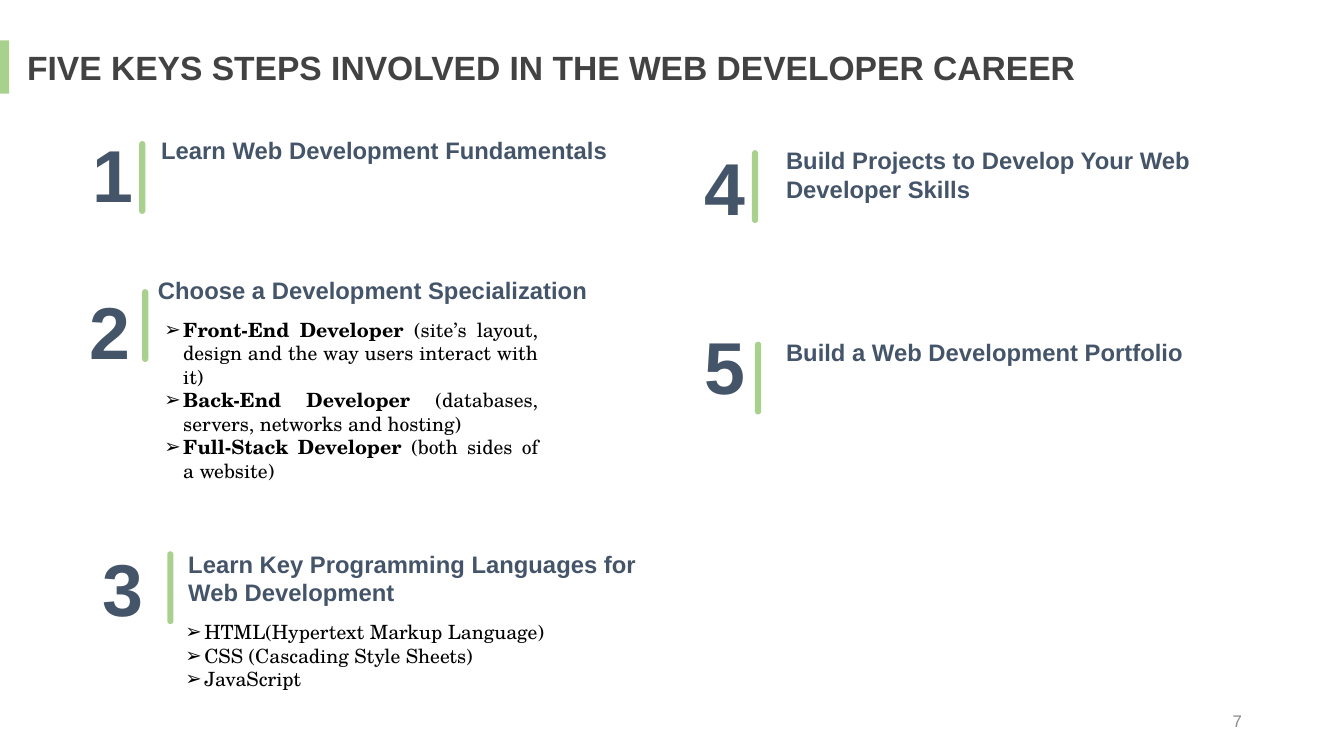
from pptx import Presentation
from pptx.dml.color import RGBColor
from pptx.enum.shapes import MSO_SHAPE as Shape
from pptx.enum.text import MSO_ANCHOR as Anchor, MSO_AUTO_SIZE as Fit, PP_ALIGN as Align
from pptx.oxml.ns import qn
from pptx.util import Pt
from lxml.etree import SubElement as Sub

GREEN, NAVY, GREY, PALE, BLACK = "A9D18E", "445469", "424242", "898989", "000000"
SANS, SERIF = "Arial", "TeX Gyre Schola"


def tint(code):
    return RGBColor.from_string(code)


def apply(item, values):
    for name, value in values.items():
        setattr(item, name, value)


class Deck:
    title = dict(name=SANS, size=Pt(24), bold=True), GREY
    head = dict(name=SANS, size=Pt(17), bold=True), NAVY
    digit = dict(name=SANS, size=Pt(52.5), bold=True), NAVY
    body = dict(name=SERIF, size=Pt(14)), BLACK
    page = dict(name=SANS, size=Pt(12)), PALE

    def __init__(self, slide):
        self.slide = slide

    def place(self, item, box):
        apply(item, dict(zip(("left", "top", "width", "height"), map(Pt, box))))

    def frame(self, item, pad=(7.2, 3.6), anchor=Anchor.TOP):
        side, edge = map(Pt, pad)
        apply(item.text_frame, dict(
            word_wrap=True, auto_size=Fit.NONE, vertical_anchor=anchor,
            margin_left=side, margin_right=side, margin_top=edge, margin_bottom=edge))
        return item.text_frame

    def run(self, para, text, style, **extra):
        font = para.add_run()
        font.text = text
        values, code = style
        apply(font.font, {**values, **extra})
        font.font.color.rgb = tint(code)

    def fill(self, item, text, style, align=Align.LEFT, anchor=Anchor.TOP):
        para = self.frame(item, anchor=anchor).paragraphs[0]
        para.alignment = align
        self.run(para, text, style)

    def name(self, text, box):
        item = self.slide.shapes.title
        self.place(item, box)
        self.fill(item, text, self.title)

    def text(self, text, box, style, **extra):
        item = self.slide.shapes.add_textbox(*map(Pt, box))
        self.fill(item, text, style, **extra)

    def bar(self, kind, box):
        item = self.slide.shapes.add_shape(kind, *map(Pt, box))
        item.shadow.inherit = False
        item.fill.solid()
        item.fill.fore_color.rgb = tint(GREEN)
        item.line.fill.background()
        return item

    def pill(self, x, y):
        item = self.bar(Shape.ROUND_2_SAME_RECTANGLE, (x, y, 4.4, 52))
        for k in range(2):
            item.adjustments[k] = 0.5

    def list(self, item, rows, box):
        self.place(item, box)
        frame = self.frame(item, (8.64, 4.32))
        for k, (term, note) in enumerate(rows):
            para = frame.add_paragraph() if k else frame.paragraphs[0]
            apply(para, dict(alignment=Align.JUSTIFY, line_spacing=1.0,
                             space_before=Pt(0), space_after=Pt(0)))
            props = para._p.get_or_add_pPr()
            props.set("marL", str(Pt(13.5)))
            props.set("indent", str(-Pt(13.5)))
            Sub(props, qn("a:buFont")).set("typeface", SANS)
            Sub(props, qn("a:buChar")).set("char", "➢")
            if term:
                self.run(para, term, self.body, bold=True)
            self.run(para, note, self.body, bold=False)

    def step(self, num, text, digit, pill, head):
        self.text(num, (*digit, 45, 70.6), self.digit)
        self.pill(*pill)
        self.text(text, (*head, 355, 48), self.head)


# Number, heading, then the corners of digit, bar and heading
STEPS = [
    ("1", "Learn Web Development Fundamentals",
     (59.2, 88.6), (99.4, 100.8), (108, 93.6)),
    ("2", "Choose a Development Specialization",
     (57, 200.9), (101.5, 206.6), (105.8, 193.7)),
    ("3", "Learn Key Programming Languages for Web Development",
     (66.4, 384.5), (119.5, 393.8), (127.4, 388.8)),
    ("4", "Build Projects to Develop Your Web Developer Skills",
     (496.1, 97.9), (537.1, 107.3), (554.4, 100.8)),
    ("5", "Build a Web Development Portfolio",
     (496.1, 225.4), (539.3, 244.1), (554.4, 237.6)),
]
ROLES = [
    ("Front-End Developer ", "(site’s layout, design and the way users interact with it)"),
    ("Back-End Developer ", "(databases, servers, networks and hosting)"),
    ("Full-Stack Developer ", "(both sides of a website)"),
]
CODES = [("", "HTML(Hypertext Markup Language)"),
         ("", "CSS (Cascading Style Sheets)"),
         ("", "JavaScript")]


def main():
    show = Presentation()
    show.slide_width, show.slide_height = Pt(960), Pt(540)
    slide = show.slides.add_slide(show.slide_layouts[3])
    deck = Deck(slide)

    # Title and its accent
    deck.bar(Shape.RECTANGLE, (0, 28.8, 6.6, 38.2))
    deck.name("FIVE KEYS STEPS INVOLVED IN THE WEB DEVELOPER CAREER",
              (12.2, 30.2, 783.4, 36))

    # Five steps
    for step in STEPS:
        deck.step(*step)

    # Lists under steps two and three
    deck.list(slide.placeholders[1], ROLES, (108.7, 222.5, 284.4, 127.4))
    deck.list(slide.placeholders[2], CODES, (123.8, 438.5, 284.4, 76.3))

    # Page number
    deck.text("7", (678.2, 500.4, 216, 28.8), deck.page,
              align=Align.RIGHT, anchor=Anchor.MIDDLE)

    show.save("out.pptx")


if __name__ == "__main__":
    main()
